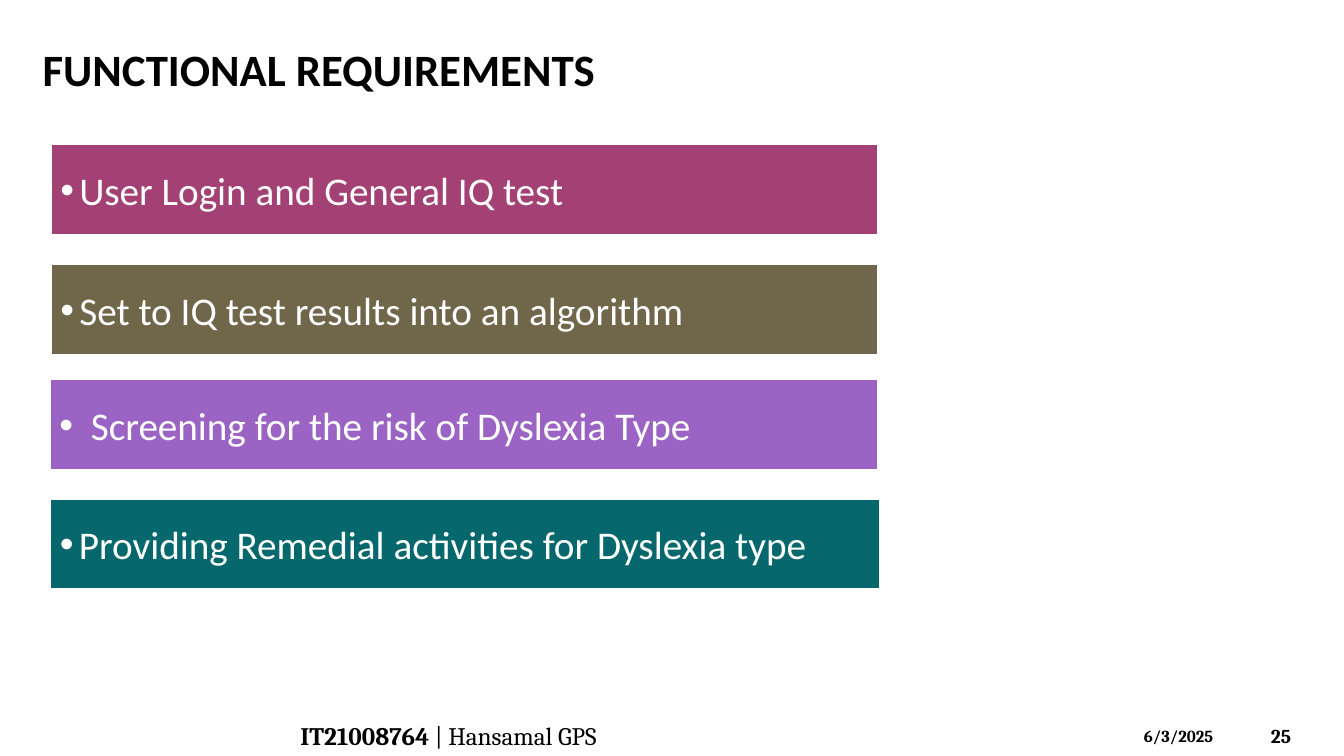
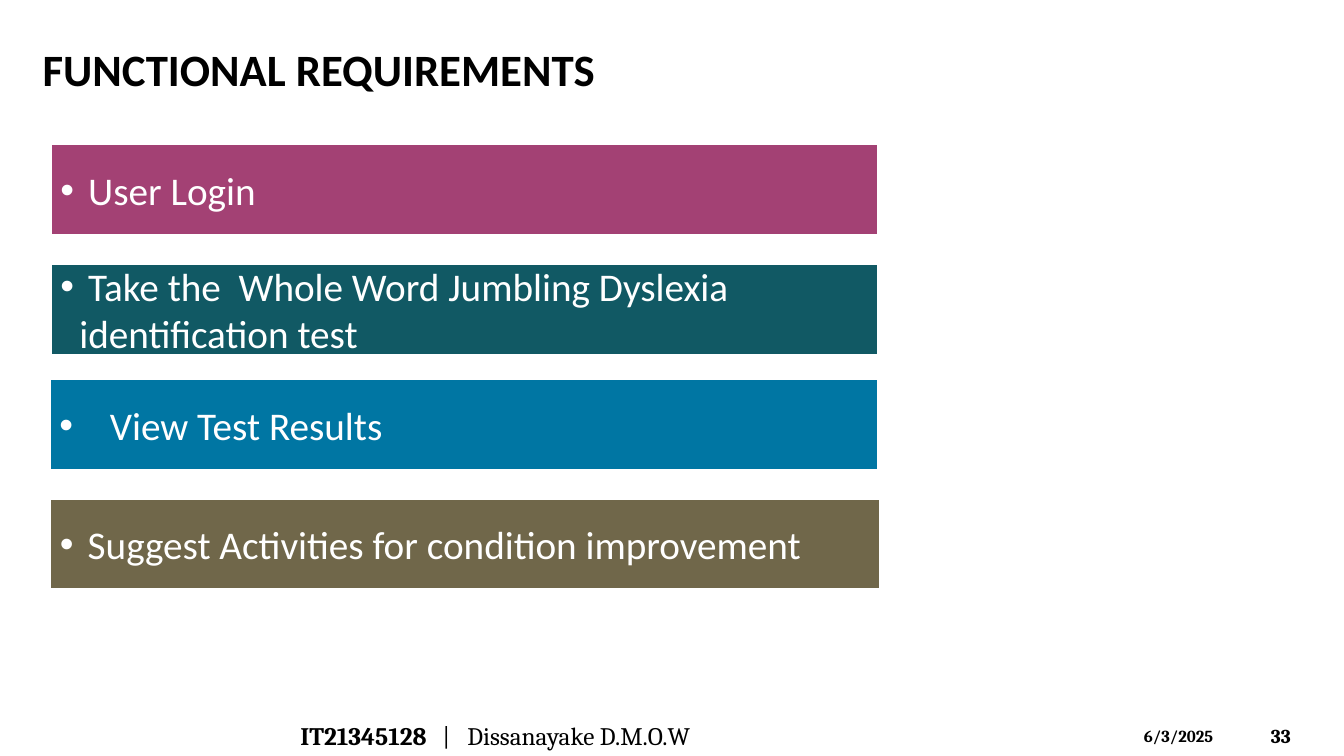
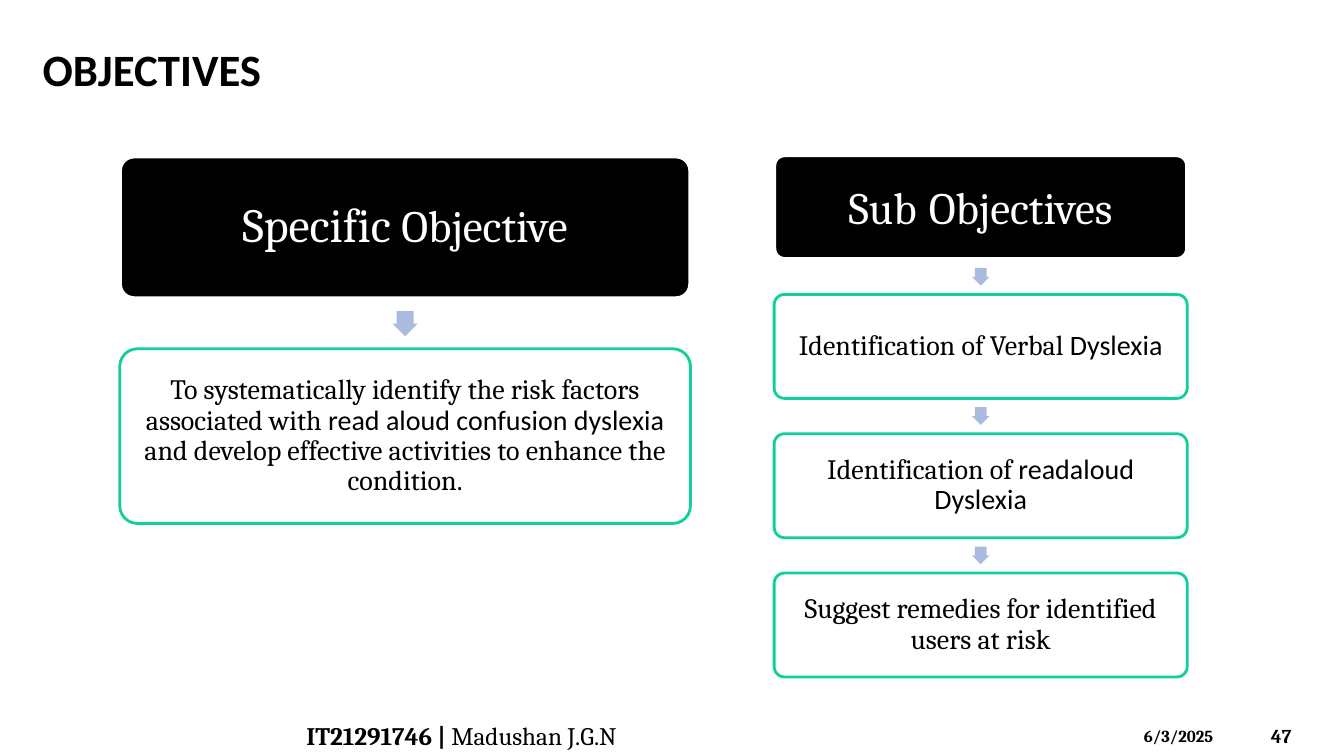
from pptx import Presentation
from pptx.dml.color import RGBColor
from pptx.enum.shapes import MSO_SHAPE
from pptx.enum.text import MSO_ANCHOR, MSO_AUTO_SIZE, PP_ALIGN
from pptx.oxml.ns import qn
from pptx.util import Cm, Pt
from lxml.etree import SubElement

BLACK = RGBColor(0x00, 0x00, 0x00)
WHITE = RGBColor(0xFF, 0xFF, 0xFF)
PLUM = RGBColor(0xA3, 0x41, 0x74)
OLIVE = RGBColor(0x70, 0x67, 0x4A)
VIOLET = RGBColor(0x9B, 0x64, 0xC4)
TEAL = RGBColor(0x06, 0x68, 0x6C)
PETROL = RGBColor(0x11, 0x59, 0x64)
BLUE = RGBColor(0x00, 0x76, 0xA3)
GREEN = RGBColor(0x10, 0xCF, 0x9B)
PALE_BLUE = RGBColor(0xAB, 0xBB, 0xDF)
SANS, SERIF = "Calibri", "Cambria"

DATE = "6/3/2025"
NARROW, MEDIUM, WIDE = 0.48, 0.79, 1.27  # hanging indents of the bullets, cm

# left, top and width of each bar, cm
BAR_PLACES = [(1.27, 3.63, 20.88), (1.27, 6.65, 20.88),
              (1.25, 9.55, 20.9), (1.26, 12.56, 20.93)]
BAR_HEIGHT = 2.3

# Each slide: title, page, footer left, footer tab stops, bold and plain footer, bars
slides = [
    ("FUNCTIONAL REQUIREMENTS", "25", 7.32, [], "IT21008764", " | Hansamal GPS", [
        ("User Login and General IQ test", PLUM, NARROW),
        ("Set to IQ test results into an algorithm", OLIVE, NARROW),
        ("Screening for the risk of Dyslexia Type", VIOLET, MEDIUM),
        ("Providing Remedial activities for Dyslexia type", TEAL, NARROW),
    ]),
    ("FUNCTIONAL REQUIREMENTS", "33", 7.32, [3.58, 4.21],
     "IT21345128", "\t|\tDissanayake D.M.O.W", [
        (" User Login", PLUM, NARROW),
        (" Take the  Whole Word Jumbling Dyslexia identification test", PETROL, NARROW),
        ("View Test Results", BLUE, WIDE),
        (" Suggest Activities for condition improvement", OLIVE, NARROW),
    ]),
    ("OBJECTIVES", "47", 7.47, [], "IT21291746 | ", "Madushan J.G.N", []),
]

# Each column: left, top, width, gap, then steps of height and text runs
objective_columns = [
    (3.02, 3.94, 14.38, 1.27, [
        (3.58, [("Specific ", 34, SERIF), ("Objective", 32, SERIF)]),
        (4.4, [("To systematically identify the risk factors associated with", 20, SERIF),
               (" read aloud confusion dyslexia ", 20, SANS),
               ("and develop effective activities to enhance the condition.", 20, SERIF)]),
    ]),
    (19.51, 3.91, 10.41, 0.89, [
        (2.62, [("Sub", 32, SERIF), (" ", 39, SERIF), ("Objectives", 32, SERIF)]),
        (2.62, [("Identification of Verbal ", 20, SERIF), ("Dyslexia", 20, SANS)]),
        (2.62, [("Identification of ", 20, SERIF), ("readaloud Dyslexia", 20, SANS)]),
        (2.62, [("Suggest remedies for identified users at risk", 20, SERIF)]),
    ]),
]


def add_run(paragraph, text, size, font, color=BLACK, bold=False):
    run = paragraph.add_run()
    run.text = text
    run.font.size = Pt(size)
    run.font.name = font
    run.font.color.rgb = color
    run.font.bold = bold


def add_filled(slide, kind, left, top, width, height, fill, line=None, line_width=0):
    """Add a flat preset shape, measured in centimetres, without an outline by default."""
    shape = slide.shapes.add_shape(kind, Cm(left), Cm(top), Cm(width), Cm(height))
    shape.shadow.inherit = False
    shape.fill.solid()
    shape.fill.fore_color.rgb = fill
    if line is None:
        shape.line.fill.background()
    else:
        shape.line.color.rgb = line
        shape.line.width = Pt(line_width)
    return shape


prs = Presentation()
prs.slide_width, prs.slide_height = Cm(33.87), Cm(19.05)
title_only = prs.slide_layouts[5]

for title, page, footer_left, tab_stops, student_id, student, bars in slides:
    slide = prs.slides.add_slide(title_only)

    heading = slide.shapes.title
    heading.left, heading.top = Cm(0.82), Cm(0.92)
    heading.width, heading.height = Cm(33.05), Cm(1.62)
    heading.text_frame.vertical_anchor = MSO_ANCHOR.TOP
    heading.text_frame.auto_size = MSO_AUTO_SIZE.NONE
    heading_line = heading.text_frame.paragraphs[0]
    heading_line.alignment = PP_ALIGN.LEFT
    add_run(heading_line, title, 32, SANS, bold=True)

    footer_parts = [
        (footer_left, 18.03, 18.92, 1.02, [(student_id, 18, True), (student, 18, False)]),
        (28.58, 18.16, 2.97, 0.77, [(DATE, 12, True)]),
        (31.78, 18.03, 1.88, 1.02, [(page, 14, True)]),
    ]
    for left, top, width, height, runs in footer_parts:
        footer = slide.shapes.add_textbox(Cm(left), Cm(top), Cm(width), Cm(height)).text_frame
        footer.word_wrap = True
        footer.vertical_anchor = MSO_ANCHOR.MIDDLE
        footer_line = footer.paragraphs[0]
        if tab_stops and runs[0][0] == student_id:
            tabs = SubElement(footer_line._p.get_or_add_pPr(), qn("a:tabLst"))
            for stop in tab_stops:
                SubElement(tabs, qn("a:tab"), pos=str(Cm(stop)), algn="l")
        for text, size, bold in runs:
            add_run(footer_line, text, size, SERIF, bold=bold)

    for (left, top, width), (requirement, color, indent) in zip(BAR_PLACES, bars):
        bar = add_filled(slide, MSO_SHAPE.RECTANGLE, left, top, width, BAR_HEIGHT,
                         color, WHITE, 2)
        bar.text_frame.word_wrap = True
        bar.text_frame.vertical_anchor = MSO_ANCHOR.MIDDLE
        bar_line = bar.text_frame.paragraphs[0]
        bar_line.alignment = PP_ALIGN.LEFT
        properties = bar_line._p.get_or_add_pPr()
        properties.set("marL", str(Cm(indent)))
        properties.set("indent", str(-Cm(indent)))
        SubElement(properties, qn("a:buFont"), typeface="Arial")
        SubElement(properties, qn("a:buChar"), char="•")
        add_run(bar_line, requirement, 28, SANS, WHITE)

# The objectives go on the last slide
for left, top, width, gap, steps in objective_columns:
    arrow_side = gap / 2
    for index, (height, runs) in enumerate(steps):
        if index == 0:
            fill, line, line_width, text_color, inset = BLACK, WHITE, 3, WHITE, 0.1
        else:
            fill, line, line_width, text_color, inset = WHITE, GREEN, 2, BLACK, 0.08
            arrow = add_filled(slide, MSO_SHAPE.DOWN_ARROW, left + (width - arrow_side) / 2,
                               top - gap + (gap - arrow_side) / 2,
                               arrow_side, arrow_side, PALE_BLUE)
            arrow.adjustments[0] = 0.67
        step = add_filled(slide, MSO_SHAPE.ROUNDED_RECTANGLE, left, top, width, height,
                          fill, line, line_width)
        step.adjustments[0] = 0.1
        frame = step.text_frame
        frame.word_wrap = True
        frame.vertical_anchor = MSO_ANCHOR.MIDDLE
        frame.margin_left = frame.margin_right = Cm(inset)
        frame.margin_top = frame.margin_bottom = Cm(inset)
        step_line = frame.paragraphs[0]
        step_line.alignment = PP_ALIGN.CENTER
        step_line.line_spacing = 0.9
        for text, size, font in runs:
            add_run(step_line, text, size, font, text_color)
        top += height + gap

prs.save("out.pptx")
